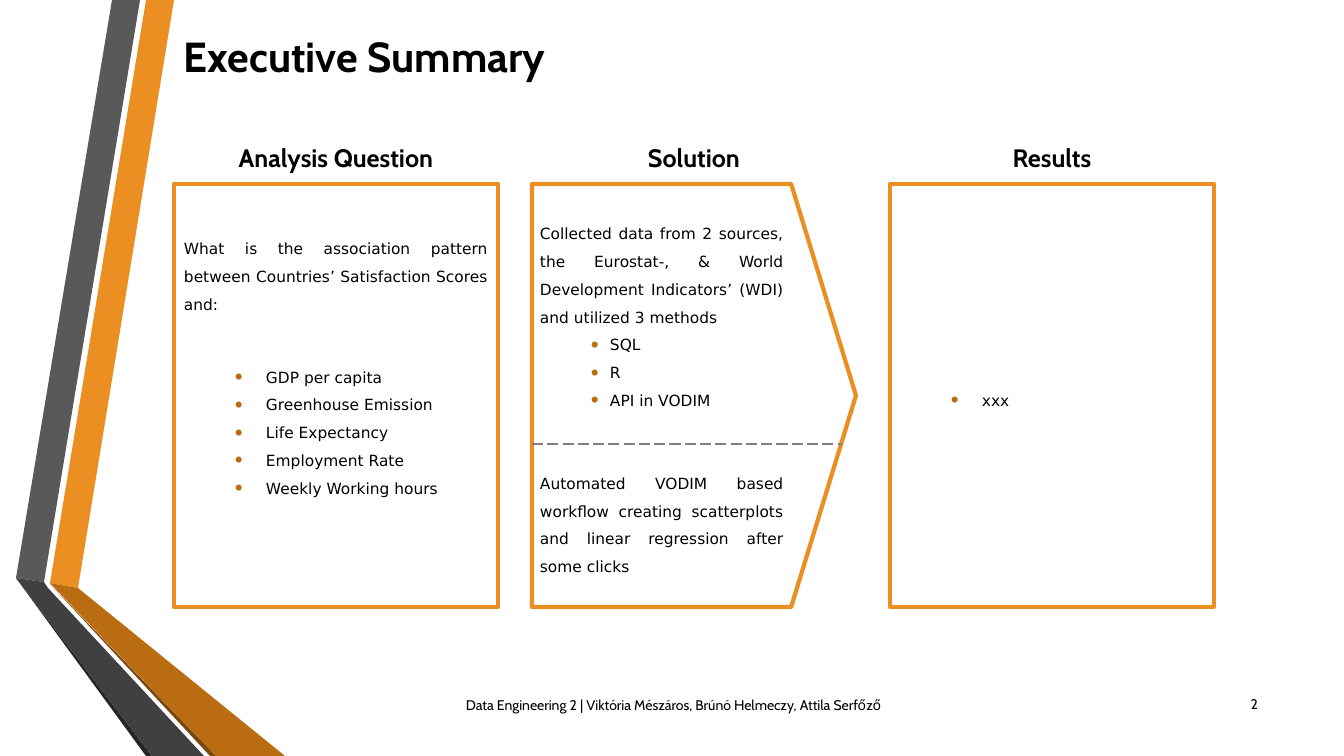
from pptx import Presentation
from pptx.dml.color import RGBColor
from pptx.enum.dml import MSO_LINE
from pptx.enum.shapes import MSO_CONNECTOR, MSO_SHAPE
from pptx.enum.text import MSO_ANCHOR, PP_ALIGN
from pptx.util import Pt
from lxml.etree import SubElement
from pptx.oxml.ns import qn

# Content
TITLE = "Executive Summary"
FOOT = "Data Engineering 2 | Viktória Mészáros, Brúnó Helmeczy, Attila Serfőző"
PAGE = "2"
HEAD, BODY = "Cabin", "DejaVu Sans"
BLACK, ORANGE, RUST, GREY = "000000", "EB8F22", "B96C11", "808080"

# Each column: head, shape, insets (left, top, right, bottom),
# bullet (margin, hang), then items: (text, is bullet, points before)
COLS = [
    ("Analysis Question", MSO_SHAPE.RECTANGLE, (10, 5, 10, 69), (82, 31), [
        ("What is the association pattern between Countries’ "
         "Satisfaction Scores and:", False, 0),
        ("GDP per capita", True, 32.4),
        ("Greenhouse Emission", True, 0),
        ("Life Expectancy", True, 0),
        ("Employment Rate", True, 0),
        ("Weekly Working hours", True, 0)]),
    ("Solution", MSO_SHAPE.PENTAGON, (8, 5, 40, 5), (70, 19), [
        ("Collected data from 2 sources, the Eurostat-, & World Development "
         "Indicators’ (WDI) and utilized 3 methods", False, 0),
        ("SQL", True, 0),
        ("R", True, 0),
        ("API in VODIM", True, 0),
        ("Automated VODIM based workflow creating scatterplots and linear "
         "regression after some clicks", False, 39.6)]),
    ("Results", MSO_SHAPE.RECTANGLE, (10, 5, 10, 5), (82, 31), [
        ("xxx", True, 0)]),
]

# Ribbons at the left edge: colour and corners
BANDS = [
    (ORANGE, [(50, 583), (78, 588), (174, 0), (146, 0)]),
    ("595959", [(140, 0), (112, 0), (16, 578), (44, 582)]),
    ("262626", [(16, 578), (146, 756), (152, 756)]),
    ("7B480B", [(50, 584), (210, 756), (216, 756)]),
    (RUST, [(50, 583), (216, 756), (285, 756), (78, 588)]),
    ("404040", [(204, 756), (48, 588), (44, 582), (16, 578), (152, 756)]),
]

# Column grid
LEFT, TOP, WIDE, HIGH, STEP = 174, 184, 324, 423, 358
SCALE = 914400 / 100.8


def px(n):
    return round(n * SCALE)


def tint(code):
    return RGBColor.from_string(code)


def paint(shape, fill=None, line=None):
    shape.shadow.inherit = False
    if fill:
        shape.fill.solid()
        shape.fill.fore_color.rgb = tint(fill)
    else:
        shape.fill.background()
    if line:
        shape.line.color.rgb = tint(line)
        shape.line.width = Pt(3)
    else:
        shape.line.fill.background()


def bullet(para, margin, hang):
    props = para._p.get_or_add_pPr()
    props.set("marL", str(px(margin)))
    props.set("indent", str(-px(hang)))
    color = SubElement(props, qn("a:buClr"))
    SubElement(color, qn("a:srgbClr"), val=RUST)
    SubElement(props, qn("a:buSzPct"), val="145000")
    SubElement(props, qn("a:buFont"), typeface="Arial")
    SubElement(props, qn("a:buChar"), char="•")


def write(shape, items, size=11, font=BODY, bold=False, align=PP_ALIGN.JUSTIFY,
          inset=(10, 5, 10, 5), space=None, dot=None):
    frame = shape.text_frame
    frame.word_wrap = True
    frame.vertical_anchor = MSO_ANCHOR.MIDDLE
    (frame.margin_left, frame.margin_top,
     frame.margin_right, frame.margin_bottom) = map(px, inset)
    for i, (words, dotted, before) in enumerate(items):
        para = frame.add_paragraph() if i else frame.paragraphs[0]
        para.alignment = align
        if space:
            para.line_spacing = space
        para.space_before = Pt(before)
        if dotted:
            bullet(para, *dot)
        run = para.add_run()
        run.text = words
        run.font.size = Pt(size)
        run.font.name = font
        run.font.bold = bold
        run.font.color.rgb = tint(BLACK)


def label(words, x, y, w, h, **form):
    box = slide.shapes.add_textbox(px(x), px(y), px(w), px(h))
    write(box, [(words, False, 0)], font=HEAD, **form)


deck = Presentation()
deck.slide_width, deck.slide_height = px(1344), px(756)
slide = deck.slides.add_slide(deck.slide_layouts[6])

# Ribbons
for color, dots in BANDS:
    band = slide.shapes.build_freeform(*dots[0], scale=SCALE)
    band.add_line_segments(dots[1:], close=True)
    paint(band.convert_to_shape(), fill=color)

# Title, footer and page number
label(TITLE, 174, 21, 1095, 70, size=30, bold=True, align=PP_ALIGN.LEFT)
label(FOOT, 283, 685, 781, 40, size=10, align=PP_ALIGN.CENTER)
label(PAGE, 1208, 684, 60, 40, size=10, align=PP_ALIGN.RIGHT)

# Columns
for i, (head, kind, inset, dot, items) in enumerate(COLS):
    x = LEFT + i * STEP
    label(head, x, 137, WIDE, 40, size=18, bold=True, align=PP_ALIGN.CENTER)
    card = slide.shapes.add_shape(kind, px(x), px(TOP), px(WIDE), px(HIGH))
    if kind == MSO_SHAPE.PENTAGON:
        card.adjustments[0] = 0.2
    paint(card, line=ORANGE)
    write(card, items, inset=inset, space=1.5, dot=dot)

# Dashed divider in the Solution column
start = LEFT + STEP
rule = slide.shapes.add_connector(
    MSO_CONNECTOR.STRAIGHT, px(start), px(444), px(start + 310), px(444))
rule.line.color.rgb = tint(GREY)
rule.line.width = Pt(1)
rule.line.dash_style = MSO_LINE.LONG_DASH
SubElement(rule._element.spPr, qn("a:effectLst"))

deck.save("out.pptx")
